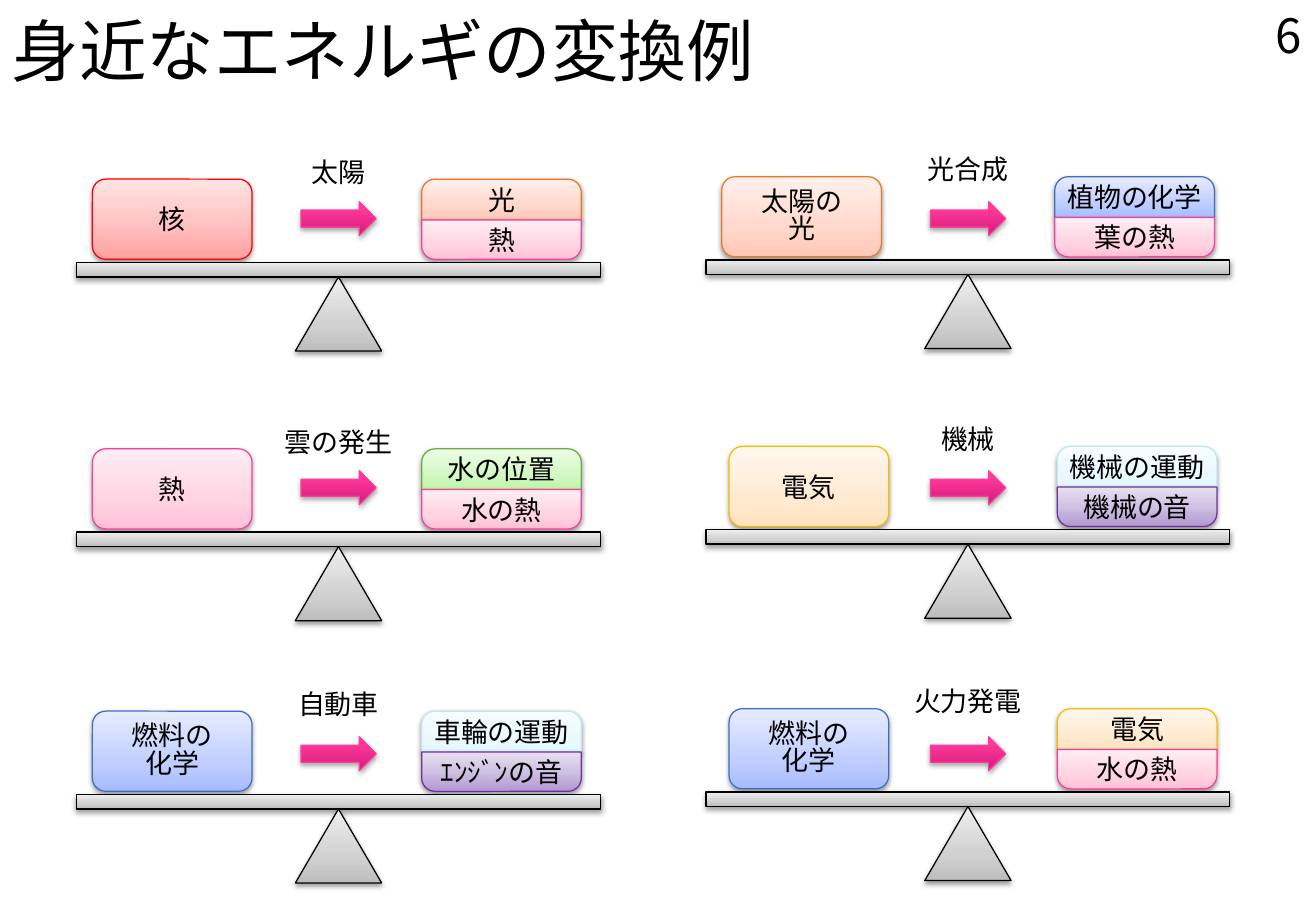
from dataclasses import dataclass
from itertools import product

from lxml.etree import SubElement
from pptx import Presentation
from pptx.dml.color import RGBColor
from pptx.enum.shapes import MSO_SHAPE
from pptx.enum.text import MSO_ANCHOR, PP_ALIGN
from pptx.oxml.ns import qn
from pptx.shapes.autoshape import Shape
from pptx.shapes.shapetree import GroupShapes
from pptx.text.text import TextFrame
from pptx.util import Emu, Inches, Pt

SLIDE_W, SLIDE_H = Inches(10.83), Inches(7.5)
FONT = "Noto Sans CJK KR"
BLACK = RGBColor(0x00, 0x00, 0x00)


@dataclass(frozen=True)
class Style:
    line: RGBColor
    dark: RGBColor
    middle: RGBColor
    light: RGBColor
    middle_at: int = 35
    shadow_alpha: int = 38
    shadow_dist: float = 1.6


NUCLEAR = Style(RGBColor(0xFF, 0x00, 0x00), RGBColor(0xFF, 0xA0, 0xA0),
                RGBColor(0xFF, 0xC5, 0xC5), RGBColor(0xFF, 0xE3, 0xE3), 50)
LIGHT = Style(RGBColor(0xEC, 0x79, 0x2B), RGBColor(0xFF, 0xC7, 0xB6),
              RGBColor(0xFF, 0xD7, 0xCB), RGBColor(0xFF, 0xF0, 0xEB))
HEAT = Style(RGBColor(0xFE, 0x3C, 0x9D), RGBColor(0xFF, 0xC0, 0xD7),
             RGBColor(0xFF, 0xD3, 0xE2), RGBColor(0xFF, 0xEE, 0xF4))
POSITION = Style(RGBColor(0x6D, 0xAC, 0x43), RGBColor(0xBE, 0xF5, 0xA7),
                 RGBColor(0xD1, 0xF7, 0xC2), RGBColor(0xED, 0xFD, 0xE7))
CHEMICAL = Style(RGBColor(0x3F, 0x6F, 0xC3), RGBColor(0xA6, 0xBB, 0xFF),
                 RGBColor(0xC0, 0xCE, 0xFF), RGBColor(0xE7, 0xEC, 0xFF))
ELECTRIC = Style(RGBColor(0xF9, 0xBC, 0x00), RGBColor(0xFF, 0xE2, 0xBD),
                 RGBColor(0xFF, 0xEA, 0xD1), RGBColor(0xFF, 0xF7, 0xEE))
MOTION = Style(RGBColor(0xC6, 0xE5, 0xF2), RGBColor(0xE3, 0xF7, 0xFF),
               RGBColor(0xEB, 0xF9, 0xFF), RGBColor(0xF7, 0xFD, 0xFF))
SOUND = Style(RGBColor(0x70, 0x30, 0xA0), RGBColor(0xB1, 0x97, 0xD2),
              RGBColor(0xCE, 0xC1, 0xE2), RGBColor(0xE7, 0xE1, 0xF0), 50)
SCALE = Style(BLACK, RGBColor(0xBD, 0xBD, 0xBD),
              RGBColor(0xD1, 0xD1, 0xD1), RGBColor(0xEE, 0xEE, 0xEE))
ARROW = Style(RGBColor(0xFE, 0x3C, 0x9D), RGBColor(0xD3, 0x1C, 0x78),
              RGBColor(0xFF, 0x38, 0x9C), RGBColor(0xFF, 0x39, 0x9D), 80, 35, 1.8)


@dataclass(frozen=True)
class Box:
    x: float
    y: float
    w: float
    h: float


@dataclass(frozen=True)
class Column:
    left: float
    lift: float


@dataclass(frozen=True)
class Row:
    beam_top: float
    arrow_top: float


@dataclass(frozen=True)
class Load:
    style: Style
    lines: tuple[str, ...]


@dataclass(frozen=True)
class Balance:
    label: str
    source: Load
    upper: Load
    lower: Load
    source_x: float = 1.2
    result_x: float = 26.22


COLUMNS = (Column(5.82, 0), Column(53.65, 0.27))
ROWS = (Row(28.8, 22.13), Row(58.4, 51.67), Row(87.2, 80.87))
BALANCES = (
    Balance("太陽", Load(NUCLEAR, ("核",)), Load(LIGHT, ("光",)), Load(HEAT, ("熱",))),
    Balance("光合成", Load(LIGHT, ("太陽の", "光")), Load(CHEMICAL, ("植物の化学",)),
            Load(HEAT, ("葉の熱",)), 1.2, 26.5),
    Balance("雲の発生", Load(HEAT, ("熱",)), Load(POSITION, ("水の位置",)),
            Load(HEAT, ("水の熱",))),
    Balance("機械", Load(ELECTRIC, ("電気",)), Load(MOTION, ("機械の運動",)),
            Load(SOUND, ("機械の音",)), 1.75, 26.69),
    Balance("自動車", Load(CHEMICAL, ("燃料の", "化学")), Load(MOTION, ("車輪の運動",)),
            Load(SOUND, ("ｴﾝｼﾞﾝの音",))),
    Balance("火力発電", Load(CHEMICAL, ("燃料の", "化学")), Load(ELECTRIC, ("電気",)),
            Load(HEAT, ("水の熱",)), 1.75, 26.69),
)
BEAM_W, BEAM_H = 39.8, 1.6
PIVOT_W, PIVOT_H = 6.56, 8.13
LOAD_W, UPPER_H, LOWER_H = 12.13, 4.47, 4.33
LOAD_H = UPPER_H + LOWER_H
LOAD_RISE, LABEL_RISE = 9.13, 12.4
CORNER = 1.47
TEXT_SHIFT = 0.43


def col(share: float) -> Emu:
    return Emu(round(SLIDE_W * share / 100))


def row(share: float) -> Emu:
    return Emu(round(SLIDE_H * share / 100))


def place(box: Box) -> tuple[Emu, Emu, Emu, Emu]:
    return col(box.x), row(box.y), col(box.w), row(box.h)


def write(tf: TextFrame, lines: tuple[str, ...], size: int, align: PP_ALIGN) -> None:
    tf.text = "\n".join(lines)
    for p in tf.paragraphs:
        p.alignment = align
        if len(lines) > 1:
            p.line_spacing = 0.85
        p.font.size = Pt(size)
        p.font.color.rgb = BLACK
        p.font.name = FONT
        SubElement(p._p.pPr.find(qn("a:defRPr")), qn("a:ea"), typeface=FONT)


def add_text(shapes: GroupShapes, box: Box, text: str, size: int, align: PP_ALIGN,
             anchor: MSO_ANCHOR = MSO_ANCHOR.TOP, wrap: bool = True) -> None:
    tf = shapes.add_textbox(*place(box)).text_frame
    tf.word_wrap = wrap
    tf.vertical_anchor = anchor
    write(tf, (text,), size, align)


def add_part(shapes: GroupShapes, kind: MSO_SHAPE, box: Box, style: Style) -> Shape:
    sp = shapes.add_shape(kind, *place(box))
    sp.fill.gradient()
    sp.fill.gradient_angle = 90
    spPr = sp._element.spPr
    stops = spPr.find(f".//{qn('a:gsLst')}")
    for stop in list(stops):
        stops.remove(stop)
    for at, color in ((0, style.dark), (style.middle_at, style.middle), (100, style.light)):
        stop = SubElement(stops, qn("a:gs"), pos=str(at * 1000))
        SubElement(stop, qn("a:srgbClr"), val=str(color))
    sp.line.color.rgb = style.line
    sp.line.width = Pt(0.75)
    sp.shadow.inherit = False
    shadow = SubElement(spPr.find(qn("a:effectLst")), qn("a:outerShdw"),
                        blurRad=str(Pt(3.1)), dist=str(Pt(style.shadow_dist)),
                        dir="5400000", rotWithShape="0")
    color = SubElement(shadow, qn("a:srgbClr"), val=str(BLACK))
    SubElement(color, qn("a:alpha"), val=str(style.shadow_alpha * 1000))
    return sp


def add_load(shapes: GroupShapes, kind: MSO_SHAPE, box: Box, load: Load,
             corners: tuple[float, ...], top: float = 0, bottom: float = 0) -> None:
    sp = add_part(shapes, kind, box, load.style)
    for i, corner in enumerate(corners):
        sp.adjustments[i] = corner / box.h
    tf = sp.text_frame
    tf.word_wrap = True
    tf.vertical_anchor = MSO_ANCHOR.MIDDLE
    tf.margin_left = tf.margin_right = 0
    tf.margin_top, tf.margin_bottom = row(top), row(bottom)
    write(tf, load.lines, 16, PP_ALIGN.CENTER)


def add_balance(shapes: GroupShapes, band: Row, column: Column, balance: Balance) -> None:
    x, y = column.left, band.beam_top - column.lift
    center, load_y = x + BEAM_W / 2, y - LOAD_RISE
    result_x = x + balance.result_x
    add_load(shapes, MSO_SHAPE.ROUNDED_RECTANGLE,
             Box(x + balance.source_x, load_y, LOAD_W, LOAD_H), balance.source, (CORNER,))
    add_load(shapes, MSO_SHAPE.ROUND_2_SAME_RECTANGLE,
             Box(result_x, load_y, LOAD_W, UPPER_H), balance.upper, (CORNER, 0),
             bottom=TEXT_SHIFT)
    add_load(shapes, MSO_SHAPE.ROUND_2_SAME_RECTANGLE,
             Box(result_x, load_y + UPPER_H, LOAD_W, LOWER_H), balance.lower, (0, CORNER),
             top=TEXT_SHIFT)
    add_part(shapes, MSO_SHAPE.RECTANGLE, Box(x, y, BEAM_W, BEAM_H), SCALE)
    add_part(shapes, MSO_SHAPE.ISOSCELES_TRIANGLE,
             Box(center - PIVOT_W / 2, y + BEAM_H, PIVOT_W, PIVOT_H), SCALE)
    add_part(shapes, MSO_SHAPE.RIGHT_ARROW, Box(x + 17.05, band.arrow_top, 5.72, 3.73), ARROW)
    label_w = 1.85 + 2.05 * len(balance.label)
    add_text(shapes, Box(center - label_w / 2, y - LABEL_RISE, label_w, 4.93),
             balance.label, 16, PP_ALIGN.CENTER, wrap=False)


def main() -> None:
    prs = Presentation()
    prs.slide_width, prs.slide_height = SLIDE_W, SLIDE_H
    s = prs.slides.add_slide(prs.slide_layouts[6])
    add_text(s.shapes, Box(89.29, 0, 10.53, 8.8), "6", 28, PP_ALIGN.RIGHT)
    add_text(s.shapes, Box(0, 0, 89.29, 10.53), "身近なエネルギの変換例", 40,
             PP_ALIGN.LEFT, MSO_ANCHOR.BOTTOM)
    for (band, column), balance in zip(product(ROWS, COLUMNS), BALANCES):
        add_balance(s.shapes.add_group_shape().shapes, band, column, balance)
    prs.save("out.pptx")


if __name__ == "__main__":
    main()
